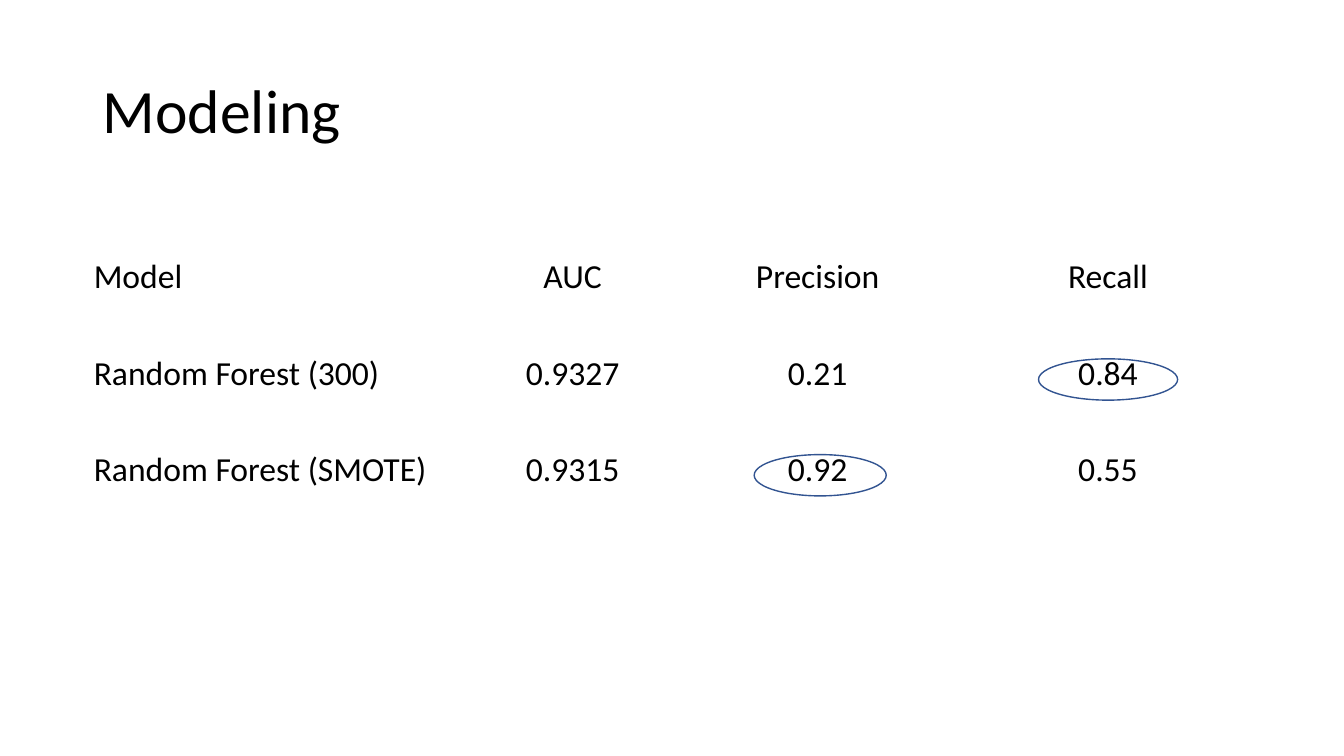
from pptx import Presentation
from pptx.dml.color import RGBColor
from pptx.enum import shapes, text
from pptx.util import Inches, Pt

BLACK = RGBColor(0x00, 0x00, 0x00)
RING_BLUE = RGBColor(0x32, 0x54, 0x91)

SCORES = [
    ("Model", "AUC", "Precision", "Recall"),
    ("Random Forest (300)", "0.9327", "0.21", "0.84"),
    ("Random Forest (SMOTE)", "0.9315", "0.92", "0.55"),
]
COLUMN_WIDTHS = (3.77, 1.98, 2.88, 2.88)


def write(frame, content, size=24, align=text.PP_ALIGN.LEFT, spacing=1.0):
    paragraph = frame.paragraphs[0]
    paragraph.alignment = align
    paragraph.line_spacing = spacing
    run = paragraph.add_run()
    run.text = content
    run.font.name = "Calibri"
    run.font.size = Pt(size)
    run.font.bold = False
    run.font.color.rgb = BLACK


def place_heading(slide, left, top, width, height):
    heading = slide.shapes.title
    heading.left, heading.top = Inches(left), Inches(top)
    heading.width, heading.height = Inches(width), Inches(height)
    frame = heading.text_frame
    frame.word_wrap = True
    frame.auto_size = text.MSO_AUTO_SIZE.NONE
    frame.vertical_anchor = text.MSO_ANCHOR.MIDDLE
    write(frame, "Modeling", size=44, spacing=0.9)


def add_scores(slide, left, top, width, height):
    scores = slide.shapes.add_table(
        len(SCORES), len(COLUMN_WIDTHS),
        Inches(left), Inches(top), Inches(width), Inches(height),
    ).table
    scores.horz_banding = False
    for column, column_width in zip(scores.columns, COLUMN_WIDTHS):
        column.width = Inches(column_width)
    for row, values in enumerate(SCORES):
        for col, value in enumerate(values):
            cell = scores.cell(row, col)
            cell.fill.background()
            cell.margin_left = cell.margin_right = cell.margin_top = Inches(0.01)
            cell.margin_bottom = 0
            cell.vertical_anchor = text.MSO_ANCHOR.BOTTOM
            align = text.PP_ALIGN.CENTER if col else text.PP_ALIGN.LEFT
            write(cell.text_frame, value, align=align)


def ring_score(slide, left, top, width, height):
    ring = slide.shapes.add_shape(
        shapes.MSO_SHAPE.OVAL,
        Inches(left), Inches(top), Inches(width), Inches(height),
    )
    ring.shadow.inherit = False
    ring.fill.background()
    ring.line.color.rgb = RING_BLUE
    ring.line.width = Pt(1)


def build_modeling_slide(deck, left, width):
    slide = deck.slides.add_slide(deck.slide_layouts[5])
    place_heading(slide, left, 0.4, width, 1.45)
    add_scores(slide, left, 2, width, 2.87)
    ring_score(slide, 7.48, 4.51, 1.31, 0.41)
    ring_score(slide, 10.3, 3.56, 1.38, 0.41)


def main():
    deck = Presentation()
    deck.slide_width, deck.slide_height = Inches(13.33), Inches(7.5)
    build_modeling_slide(deck, 0.92, 11.5)
    deck.save("out.pptx")


if __name__ == "__main__":
    main()
